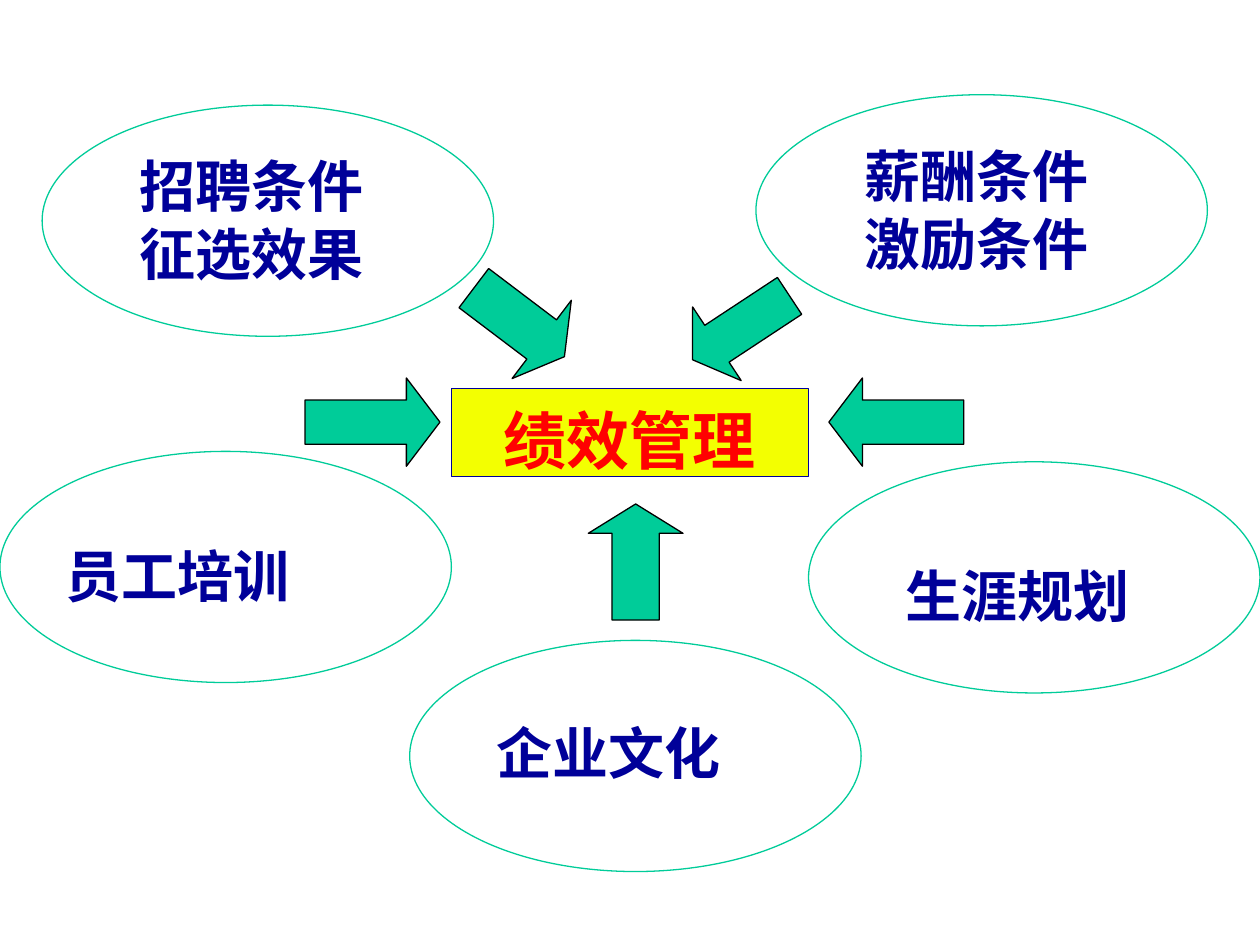
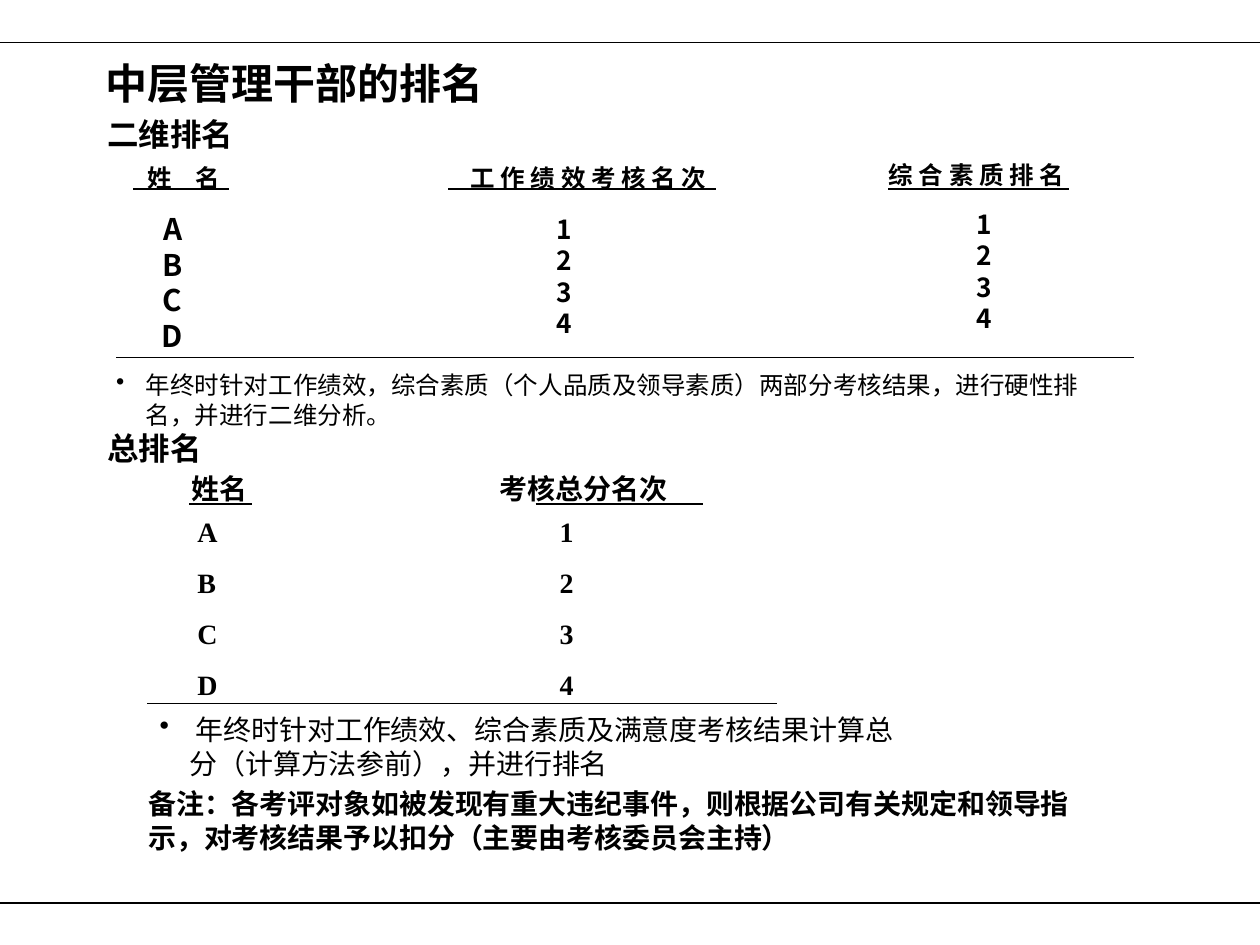
from lxml import etree
from pptx import Presentation
from pptx.dml.color import RGBColor
from pptx.enum.shapes import MSO_CONNECTOR, MSO_SHAPE
from pptx.enum.text import MSO_ANCHOR, MSO_AUTO_SIZE, PP_ALIGN
from pptx.oxml.ns import qn
from pptx.util import Cm, Pt

LEFT, CENTER = PP_ALIGN.LEFT, PP_ALIGN.CENTER
RIGHT_ARROW, LEFT_ARROW, UP_ARROW = (
    MSO_SHAPE.RIGHT_ARROW, MSO_SHAPE.LEFT_ARROW, MSO_SHAPE.UP_ARROW)
COLORS = {
    "navy": "000099", "green": "00CC99", "yellow": "F3FF01",
    "red": "FF0101", "black": "000000",
}
SERIF, SANS = "Times New Roman", "Noto Sans CJK SC"
LINE_HEIGHT = 1.2      # line pitch, in font sizes
BASELINE_DROP = 0.1    # lowers the fixed-height first line, in font sizes
INSET_X, INSET_Y = 0.25, 0.13


def color(key):
    return RGBColor.from_string(COLORS[key])


def write(shape, lines, size, font=SERIF, ink="black", bold=True, align=LEFT,
          inset=True, wrap=True, before=0, tab=None, bullet=None):
    """Fill a shape with one paragraph per line; tab and bullet are cm."""
    frame = shape.text_frame
    frame.auto_size = MSO_AUTO_SIZE.NONE
    frame.word_wrap = wrap
    frame.vertical_anchor = MSO_ANCHOR.TOP
    frame.margin_left = frame.margin_right = Cm(INSET_X if inset else 0)
    frame.margin_top = Cm(INSET_Y if inset else 0) + Pt(size * BASELINE_DROP)
    frame.margin_bottom = 0
    for index, line in enumerate(lines):
        paragraph = frame.add_paragraph() if index else frame.paragraphs[0]
        properties = paragraph._p.get_or_add_pPr()
        if bullet:
            properties.set("marL", str(Cm(bullet)))
            properties.set("indent", str(-Cm(bullet)))
            etree.SubElement(properties, qn("a:buChar"), char="•")
        if tab:
            stops = etree.SubElement(properties, qn("a:tabLst"))
            etree.SubElement(stops, qn("a:tab"), pos=str(Cm(tab)), algn="l")
        paragraph.alignment = align
        paragraph.line_spacing = Pt(size * LINE_HEIGHT)
        paragraph.space_before = Pt(before if index else 0)
        run = paragraph.add_run()
        run.text = line
        run.font.size = Pt(size)
        run.font.bold = bold
        run.font.color.rgb = color(ink)
        run.font.name = font
        etree.SubElement(run._r.get_or_add_rPr(), qn("a:ea"), typeface=SANS)


prs = Presentation()
prs.slide_width, prs.slide_height = Cm(25.4), Cm(19.05)
TITLE_ONLY, BLANK = prs.slide_layouts[5], prs.slide_layouts[6]

# Slide 1: performance management and the five areas around it
slide = prs.slides.add_slide(BLANK)

# Centre
core = slide.shapes.add_shape(
    MSO_SHAPE.RECTANGLE, Cm(9.1), Cm(7.83), Cm(7.2), Cm(1.78))
core.shadow.inherit = False
core.fill.solid()
core.fill.fore_color.rgb = color("yellow")
core.line.color.rgb = color("navy")
core.line.width = Pt(0.75)
write(core, ["绩效管理"], 36, ink="red", align=CENTER)

# Areas: lines, label corner, ellipse corner
areas = [
    (["招聘条件", "征选效果"], (2.57, 2.82), (0.85, 2.12)),
    (["员工培训"], (1.07, 10.67), (0, 9.1)),
    (["企业文化"], (9.75, 14.25), (8.26, 12.91)),
    (["薪酬条件", "激励条件"], (17.17, 2.62), (15.24, 1.91)),
    (["生涯规划"], (18.01, 11.07), (16.3, 9.31)),
]
for lines, (label_x, label_y), (oval_x, oval_y) in areas:
    label = slide.shapes.add_textbox(
        Cm(label_x), Cm(label_y), Cm(5.03), Cm(0.27 + 1.35 * len(lines)))
    write(label, lines, 32, ink="navy", wrap=False)
    oval = slide.shapes.add_shape(
        MSO_SHAPE.OVAL, Cm(oval_x), Cm(oval_y), Cm(9.1), Cm(4.66))
    oval.shadow.inherit = False
    oval.fill.background()
    oval.line.color.rgb = color("green")
    oval.line.width = Pt(0.75)

# Arrows towards the centre: kind, box, rotation, head length
arrows = [
    (RIGHT_ARROW, (9.32, 5.51, 2.29, 1.98), 37.1, 0.29),
    (UP_ARROW, (11.86, 10.16, 1.91, 2.34), 0, 0.31),
    (RIGHT_ARROW, (6.15, 7.62, 2.72, 1.78), 0, 0.38),
    (LEFT_ARROW, (16.71, 7.62, 2.72, 1.78), 0, 0.38),
    (LEFT_ARROW, (13.77, 5.72, 2.34, 1.78), 326.6, 0.33),
]
for kind, box, rotation, head in arrows:
    arrow = slide.shapes.add_shape(kind, *map(Cm, box))
    arrow.shadow.inherit = False
    arrow.rotation = rotation
    arrow.adjustments[0], arrow.adjustments[1] = 0.5, head
    arrow.fill.solid()
    arrow.fill.fore_color.rgb = color("green")
    arrow.line.color.rgb = color("black")
    arrow.line.width = Pt(0.75)

# Slide 2: ranking of middle managers
slide = prs.slides.add_slide(TITLE_ONLY)
title = slide.shapes.title
title.left, title.top, title.width, title.height = map(
    Cm, (2.12, 1.07, 14.17, 1.02))
write(title, ["中层管理干部的排名"], 24, font=SANS, inset=False)

# Rules: start x, end x, y, weight
rules = [
    (0, 25.4, 0.85, 0.75), (0, 25.4, 18.2, 1),          # page frame
    (2.69, 4.62, 3.81, 0.75), (9.04, 14.43, 3.81, 0.75),
    (17.91, 21.54, 3.81, 0.75), (2.34, 22.86, 7.2, 0.75),
    (3.81, 5.08, 10.16, 0.75), (10.8, 14.17, 10.16, 0.75),
    (2.97, 15.67, 14.18, 0.75),
]
for start, end, y, weight in rules:
    rule = slide.shapes.add_connector(
        MSO_CONNECTOR.STRAIGHT, Cm(start), Cm(y), Cm(end), Cm(y))
    rule.line.color.rgb = color("black")
    rule.line.width = Pt(weight)
    etree.SubElement(rule._element.spPr, qn("a:effectLst"))

# Texts: box, lines, size, style
ranks = ["1", "2", "3", "4"]
column = dict(font=SANS, align=CENTER, inset=False)
texts = [
    # Two-dimensional ranking
    ((1.91, 2.12, 8.89, 1.02), ["二维排名"], 18, {}),
    ((2.98, 3.23, 2, 0.6), ["姓\t名"], 14,
     dict(font=SANS, inset=False, tab=0.96)),
    ((8.08, 3.23, 7.57, 0.6), ["工 作 绩 效 考 核 名 次"], 14, column),
    ((15.9, 3.18, 7.57, 0.6), ["综 合 素 质 排 名"], 14, column),
    ((2.98, 4.19, 1, 3), ["A", "B", "C", "D"], 17, column),
    ((10.87, 4.24, 1, 2.6), ranks, 15, column),
    ((19.35, 4.14, 1, 2.6), ranks, 15, column),
    ((2.34, 7.42, 19.69, 1.3),
     ["年终时针对工作绩效，综合素质（个人品质及领导素质）两部分考核结果，"
      "进行硬性排名，并进行二维分析。"], 14,
     dict(font=SANS, bold=False, inset=False, bullet=0.6)),
    # Overall ranking
    ((1.91, 8.46, 20.32, 1.02), ["总排名"], 18, {}),
    ((3.61, 9.32, 15.88, 0.94), ["姓名\t考核总分名次"], 16, dict(tab=6.22)),
    ((3.73, 10.19, 11.5, 4.2),
     [f"{name}\t{rank}" for name, rank in zip("ABCD", ranks)], 16,
     dict(before=10, tab=7.3)),
    ((2.97, 14.18, 15.67, 1.63),
     [" 年终时针对工作绩效、综合素质及满意度考核结果计算总分"
      "（计算方法参前），并进行排名"], 16, dict(bold=False, bullet=0.6)),
    ((2.74, 15.67, 19.6, 1.63),
     ["备注：各考评对象如被发现有重大违纪事件，则根据公司有关规定和领导指示，"
      "对考核结果予以扣分（主要由考核委员会主持）"], 16, {}),
]
for box, lines, size, style in texts:
    write(slide.shapes.add_textbox(*map(Cm, box)), lines, size, **style)

prs.save("out.pptx")
